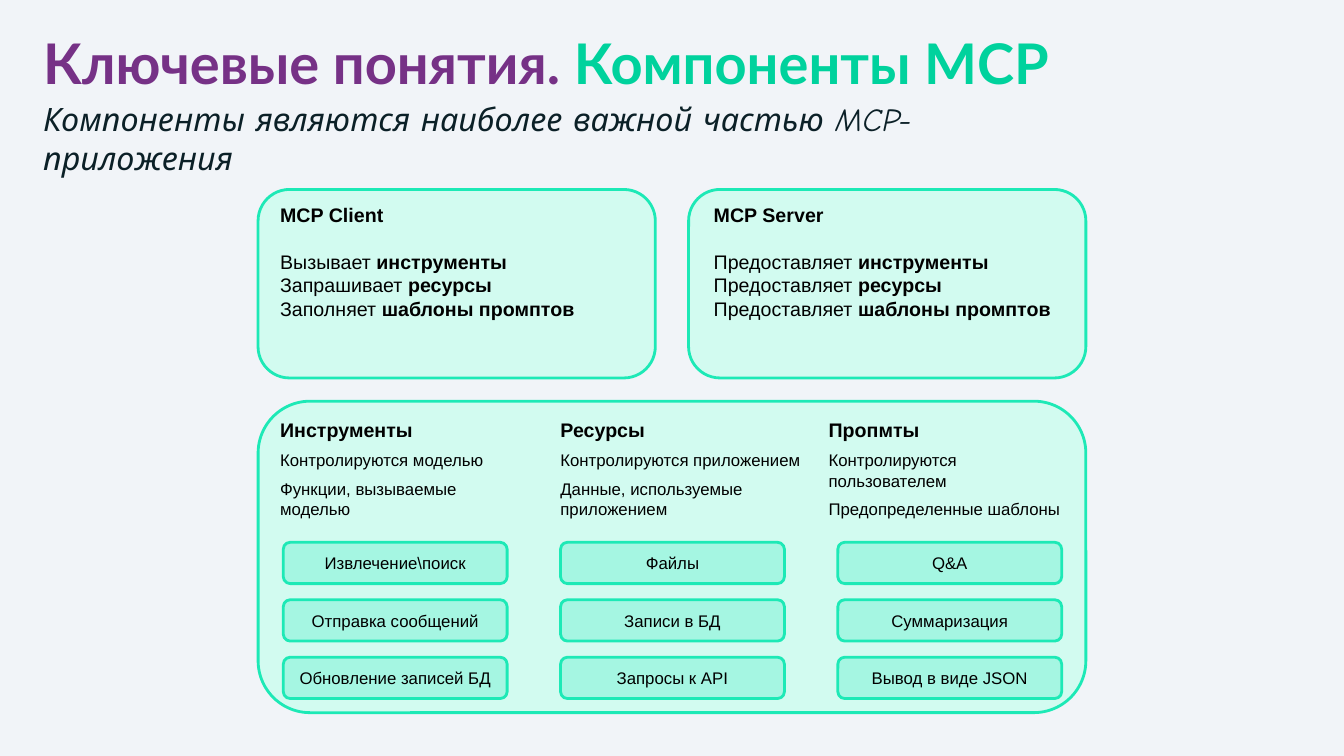
from dataclasses import dataclass

from pptx import Presentation
from pptx.dml.color import RGBColor as Rgb
from pptx.enum.shapes import MSO_SHAPE as Kind
from pptx.enum.text import MSO_ANCHOR as Anchor, PP_ALIGN as Align
from pptx.shapes.autoshape import Shape
from pptx.slide import Slide
from pptx.text.text import TextFrame as Frame
from pptx.util import Inches, Pt

COLORS = {
    "back": "F1F4F8", "purple": "763186", "green": "00D29D", "ink": "0B2027",
    "black": "000000", "panel": "D2FBF0", "chip": "A5F6E2", "edge": "1DE9B6",
}


@dataclass
class Run:
    text: str
    size: float = 14
    bold: bool = False
    color: str = "black"
    font: str = "Arial"
    italic: bool = False


@dataclass
class Line:
    runs: list[Run]
    after: float = 0


@dataclass
class Box:
    left: float
    top: float
    width: float
    height: float


@dataclass
class Role:
    box: Box
    text: Box
    name: str
    verbs: list[str]


@dataclass
class Group:
    left: float
    name: str
    notes: list[str]
    chips: list[str]


def paint(name: str) -> Rgb:
    return Rgb.from_string(COLORS[name])


def fill_text(frame: Frame, lines: list[Line], align: Align = Align.LEFT) -> None:
    frame.word_wrap = True
    for i, line in enumerate(lines):
        para = frame.add_paragraph() if i else frame.paragraphs[0]
        para.alignment = align
        para.space_after = Pt(line.after)
        for item in line.runs:
            run = para.add_run()
            run.text = item.text
            font = run.font
            font.name, font.size = item.font, Pt(item.size)
            font.bold, font.italic = item.bold, item.italic
            font.color.rgb = paint(item.color)


def add_text(slide: Slide, box: Box, lines: list[Line]) -> Frame:
    area = slide.shapes.add_textbox(
        Inches(box.left), Inches(box.top), Inches(box.width), Inches(box.height))
    fill_text(area.text_frame, lines)
    return area.text_frame


def add_panel(slide: Slide, box: Box, fill: str) -> Shape:
    panel = slide.shapes.add_shape(
        Kind.ROUNDED_RECTANGLE,
        Inches(box.left), Inches(box.top), Inches(box.width), Inches(box.height))
    panel.shadow.inherit = False
    panel.fill.solid()
    panel.fill.fore_color.rgb = paint(fill)
    panel.line.color.rgb = paint("edge")
    panel.line.width = Pt(2)
    return panel


def add_role(slide: Slide, role: Role) -> None:
    add_panel(slide, role.box, "panel")
    lines = [Line([Run(role.name, bold=True)], after=17)]
    for verb, noun in zip(role.verbs, NOUNS):
        lines.append(Line([Run(verb + " "), Run(noun, bold=True)]))
    add_text(slide, role.text, lines)


def add_group(slide: Slide, group: Group, col: int) -> None:
    lines = [Line([Run(group.name, bold=True)], after=6)]
    lines += [Line([Run(note, size=12)], after=6) for note in group.notes]
    add_text(slide, Box(group.left, 4.1, 2.66, 1.11), lines)
    for row, label in enumerate(group.chips):
        box = Box(2.81 + 2.75 * col, 5.38 + 0.57 * row, 2.22, 0.41)
        chip = add_panel(slide, box, "chip")
        chip.text_frame.vertical_anchor = Anchor.MIDDLE
        fill_text(chip.text_frame, [Line([Run(label, size=12)])], Align.CENTER)


NOUNS = ["инструменты", "ресурсы", "шаблоны промптов"]
ROLES = [
    Role(Box(2.56, 1.88, 3.94, 1.87), Box(2.68, 1.96, 3.43, 1.28),
         "MCP Client", ["Вызывает", "Запрашивает", "Заполняет"]),
    Role(Box(6.83, 1.88, 3.94, 1.87), Box(6.98, 1.96, 3.68, 1.28),
         "MCP Server", ["Предоставляет"] * 3),
]
GROUPS = [
    Group(2.68, "Инструменты",
          ["Контролируются моделью", "Функции, вызываемые моделью"],
          ["Извлечение\\поиск", "Отправка сообщений", "Обновление записей БД"]),
    Group(5.46, "Ресурсы",
          ["Контролируются приложением", "Данные, используемые приложением"],
          ["Файлы", "Записи в БД", "Запросы к API"]),
    Group(8.12, "Пропмты",
          ["Контролируются пользователем", "Предопределенные шаблоны"],
          ["Q&A", "Суммаризация", "Вывод в виде JSON"]),
]


def main() -> None:
    deck = Presentation()
    deck.slide_width, deck.slide_height = Inches(13.33), Inches(7.5)
    slide = deck.slides.add_slide(deck.slide_layouts[6])
    slide.background.fill.solid()
    slide.background.fill.fore_color.rgb = paint("back")

    # Title and subtitle
    title = add_text(slide, Box(0.33, 0.31, 12.27, 0.69), [Line([
        Run("Ключевые понятия.", 40, True, "purple", "Lato"),
        Run(" Компоненты MCP", 40, True, "green", "Lato")])])
    title.vertical_anchor = Anchor.MIDDLE
    title.paragraphs[0].line_spacing = 0.9
    lead = add_text(slide, Box(0.33, 0.89, 9.83, 0.59), [Line([
        Run("Компоненты являются наиболее важной частью MCP-приложения",
            23, color="ink", font="Comic Neue", italic=True)])])
    lead.margin_top = lead.margin_bottom = Inches(0.1)

    # Client and server
    for role in ROLES:
        add_role(slide, role)

    # Tools, resources and prompts
    add_panel(slide, Box(2.56, 3.98, 8.21, 3.09), "panel")
    for col, group in enumerate(GROUPS):
        add_group(slide, group, col)

    deck.save("out.pptx")


if __name__ == "__main__":
    main()
